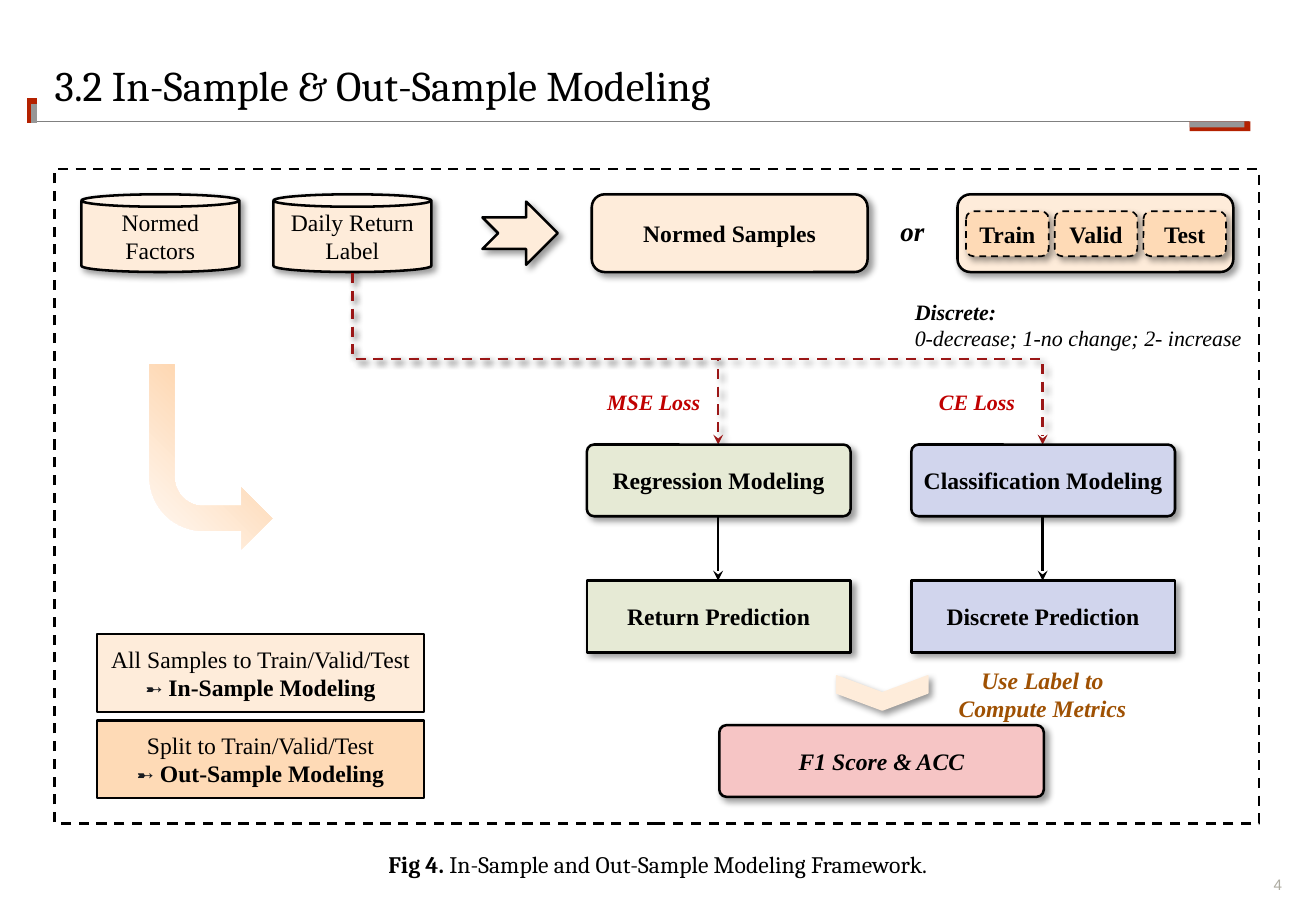
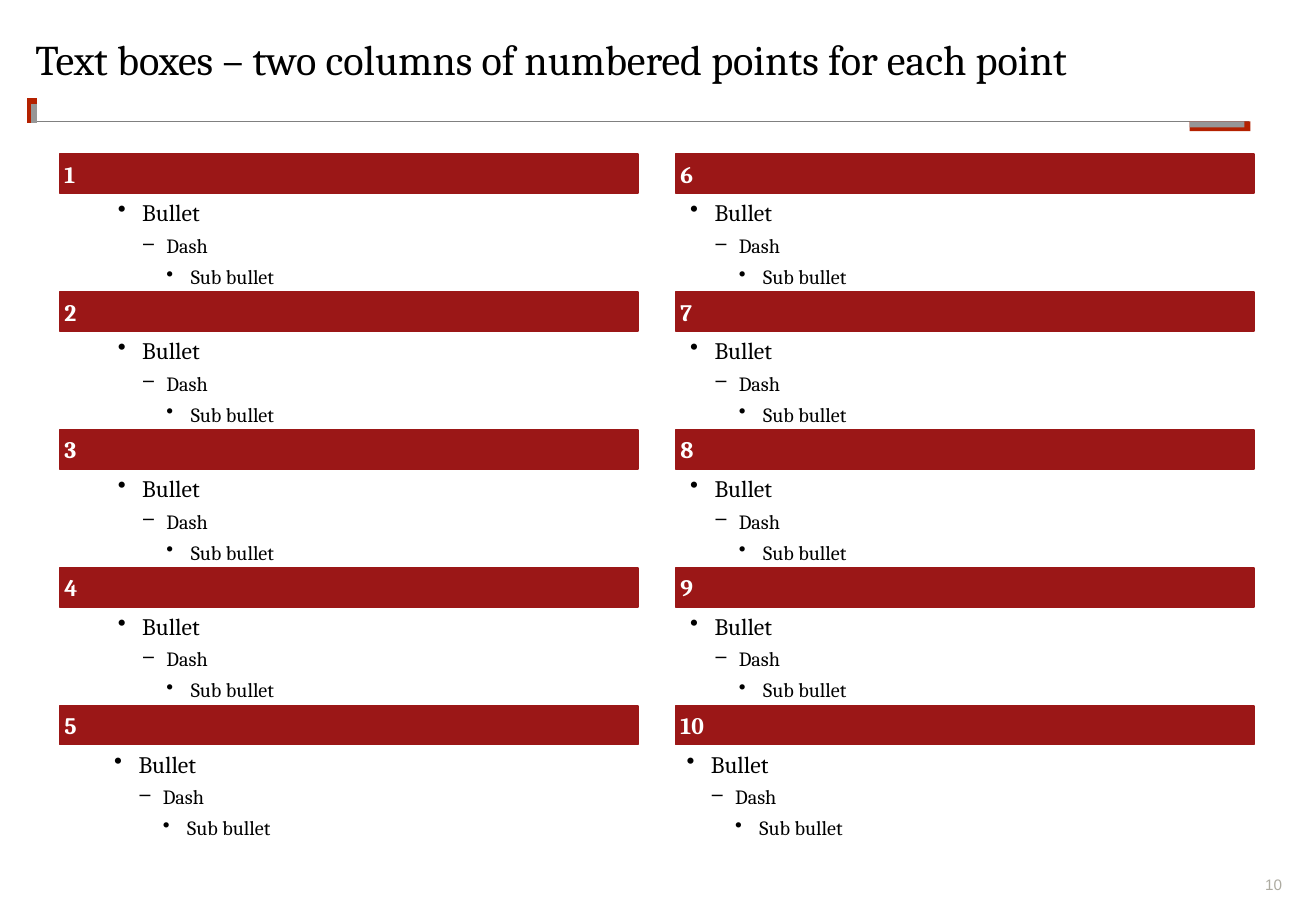
from dataclasses import dataclass, replace

from lxml import etree
from pptx import Presentation
from pptx.dml.color import RGBColor
from pptx.enum.dml import MSO_LINE
from pptx.enum.shapes import MSO_CONNECTOR, MSO_SHAPE
from pptx.enum.text import MSO_ANCHOR, PP_ALIGN
from pptx.oxml.ns import qn
from pptx.shapes.autoshape import Shape
from pptx.shapes.connector import Connector
from pptx.slide import Slide
from pptx.text.text import Font, TextFrame
from pptx.util import Inches, Pt

RECT = MSO_SHAPE.RECTANGLE
ROUND = MSO_SHAPE.ROUNDED_RECTANGLE
CAN = MSO_SHAPE.CAN
NOTCH = MSO_SHAPE.NOTCHED_RIGHT_ARROW
BENT = MSO_SHAPE.BENT_ARROW
CHEVRON = MSO_SHAPE.CHEVRON
ELBOW = MSO_CONNECTOR.ELBOW
STRAIGHT = MSO_CONNECTOR.STRAIGHT
DASH = MSO_LINE.DASH
LEFT, CENTER, RIGHT = PP_ALIGN.LEFT, PP_ALIGN.CENTER, PP_ALIGN.RIGHT
TOP, MIDDLE, BOTTOM = MSO_ANCHOR.TOP, MSO_ANCHOR.MIDDLE, MSO_ANCHOR.BOTTOM


@dataclass(frozen=True)
class Theme:
    black: str = "000000"
    white: str = "FFFFFF"
    red: str = "B42100"
    deep: str = "9B1717"
    loss: str = "C00000"
    rule: str = "808080"
    gray: str = "969696"
    faint: str = "ADABA1"
    ink: str = "191B1F"
    brown: str = "9F5103"
    cream: str = "FEECDA"
    peach: str = "FEDAB6"
    green: str = "E6EAD5"
    blue: str = "D1D5ED"
    pink: str = "F6C5C5"
    fade: tuple = ((0, "FFFAF6"), (74, "FED5AD"), (83, "FED5AD"), (100, "FEE3C8"))
    serif: str = "Cambria"
    roman: str = "Times New Roman"
    sans: str = "Arial"
    title: float = 25
    large: float = 16
    body: float = 14
    note: float = 13
    small: float = 12
    tiny: float = 9


T = Theme()


@dataclass(frozen=True)
class Style:
    size: float = T.body
    face: str = T.roman
    color: str = T.black
    bold: bool = False
    ital: bool = False
    align: PP_ALIGN = CENTER
    anchor: MSO_ANCHOR = MIDDLE
    inset: tuple = (0.08, 0.08)
    space: float = 1


PLAIN = Style()
BOLD = replace(PLAIN, bold=True)
STRONG = replace(BOLD, ital=True)
CANTEXT = replace(PLAIN, inset=(0.1, 0.05))
NOTE = replace(STRONG, size=T.note, anchor=TOP, inset=(0.1, 0.05))
LOSS = replace(NOTE, color=T.loss)
MARK = replace(PLAIN, size=T.small, face=T.sans, color=T.ink)
CAPTION = replace(PLAIN, face=T.serif, anchor=BOTTOM, inset=(0, 0))
TITLE = Style(T.title, T.serif, align=LEFT, inset=(0, 0))
PAGE = Style(T.tiny, T.sans, T.faint, align=RIGHT, anchor=BOTTOM, inset=(0, 0))
BAR = Style(T.body, T.serif, T.white, True, align=LEFT, inset=(0.04, 0.04))
POINT = replace(BAR, color=T.black, bold=False, anchor=TOP)


@dataclass(frozen=True)
class Box:
    at: tuple
    fill: str | None = None
    lines: tuple = ()
    style: Style = BOLD
    kind: MSO_SHAPE = ROUND
    adj: tuple = ()
    line: str | None = T.black
    width: float = 1.5
    dash: bool = False
    shade: bool = True
    turn: float = 0


def dress(font: Font, style: Style) -> None:
    font.size = Pt(style.size)
    font.name = style.face
    font.bold = style.bold
    font.italic = style.ital
    font.color.rgb = RGBColor.from_string(style.color)


def write(frame: TextFrame, lines: tuple, style: Style) -> None:
    frame.word_wrap = True
    frame.vertical_anchor = style.anchor
    frame.margin_left = frame.margin_right = Inches(style.inset[0])
    frame.margin_top = frame.margin_bottom = Inches(style.inset[1])
    for i, line in enumerate(lines):
        para = frame.add_paragraph() if i else frame.paragraphs[0]
        para.alignment = style.align
        para.line_spacing = style.space
        if isinstance(line, str):
            para.add_run().text = line
            dress(para.font, style)
            continue
        for text, look in line:
            run = para.add_run()
            run.text = text
            dress(run.font, look)


def label(slide: Slide, at: tuple, lines: tuple, style: Style) -> TextFrame:
    frame = slide.shapes.add_textbox(*map(Inches, at)).text_frame
    write(frame, lines, style)
    return frame


def tint(node: etree._Element, color: str) -> etree._Element:
    return etree.SubElement(node, qn("a:srgbClr"), val=color)


def cast(effects: etree._Element) -> None:
    shadow = etree.SubElement(effects, qn("a:outerShdw"), blurRad=str(Pt(4)),
                              dist=str(Pt(3)), dir="2700000", algn="tl", rotWithShape="0")
    etree.SubElement(tint(shadow, T.black), qn("a:alpha"), val="40000")


def draw(slide: Slide, box: Box) -> Shape:
    shape = slide.shapes.add_shape(box.kind, *map(Inches, box.at))
    shape.rotation = box.turn
    for i, value in enumerate(box.adj):
        shape.adjustments[i] = value
    if box.fill:
        shape.fill.solid()
        shape.fill.fore_color.rgb = RGBColor.from_string(box.fill)
    else:
        shape.fill.background()
    if box.line:
        shape.line.color.rgb = RGBColor.from_string(box.line)
        shape.line.width = Pt(box.width)
        if box.dash:
            shape.line.dash_style = DASH
    else:
        shape.line.fill.background()
    shape.shadow.inherit = False
    if box.shade:
        cast(shape._element.spPr.find(qn("a:effectLst")))
    if box.lines:
        write(shape.text_frame, box.lines, box.style)
    return shape


def link(slide: Slide, start: tuple, end: tuple, color: str, width: float,
         kind: MSO_CONNECTOR = STRAIGHT, head: bool = False) -> Connector:
    wire = slide.shapes.add_connector(kind, *map(Inches, start + end))
    wire.line.color.rgb = RGBColor.from_string(color)
    wire.line.width = Pt(width)
    if kind == ELBOW:
        wire.line.dash_style = DASH
    if head:
        etree.SubElement(wire.line._get_or_add_ln(), qn("a:tailEnd"), type="stealth")
    effects = etree.SubElement(wire._element.spPr, qn("a:effectLst"))
    if kind == ELBOW:
        cast(effects)
    return wire


def drop(slide: Slide, start: tuple, end: tuple) -> None:
    midx, midy = (start[0] + end[0]) / 2, (start[1] + end[1]) / 2
    halfw, halfh = (end[1] - start[1]) / 2, (end[0] - start[0]) / 2
    wire = link(slide, (midx + halfw, midy - halfh), (midx - halfw, midy + halfh),
                T.deep, 1.5, ELBOW, True)
    wire._element.spPr.find(qn("a:xfrm")).set("rot", "16200000")


def sweep(slide: Slide) -> None:
    shape = draw(slide, Box((1.23, 3, 1.01, 1.52), kind=BENT, line=None, shade=False,
                            turn=180, adj=(0.203, 0.25, 0.25, 0.438)))
    props = shape._element.spPr
    props.find(qn("a:xfrm")).set("flipH", "1")
    fade = etree.Element(qn("a:gradFill"), rotWithShape="1")
    stops = etree.SubElement(fade, qn("a:gsLst"))
    for place, color in T.fade:
        tint(etree.SubElement(stops, qn("a:gs"), pos=str(place * 1000)), color)
    etree.SubElement(fade, qn("a:lin"), ang="2700000", scaled="0")
    props.replace(props.find(qn("a:noFill")), fade)


def base(deck: Presentation, title: str, at: tuple, style: Style, page: int) -> Slide:
    slide = deck.slides.add_slide(deck.slide_layouts[6])
    label(slide, (10.05, 7.21, 0.5, 0.15), (str(page),), PAGE)
    link(slide, (0.3, 1), (10.28, 1), T.rule, 1)
    link(slide, (0.26, 1.01), (0.26, 0.81), T.red, 6)
    link(slide, (0.28, 1.01), (0.28, 0.86), T.gray, 3)
    for wide, high, color in ((0.5, 0.08, T.red), (0.45, 0.05, T.gray)):
        draw(slide, Box((9.79, 1, wide, high), color, kind=RECT, line=None, shade=False))
    label(slide, at, (title,), style)
    return slide


def model(deck: Presentation) -> None:
    slide = base(deck, "3.2 In-Sample & Out-Sample Modeling", (0.45, 0.4, 7.91, 0.59), TITLE, 4)
    draw(slide, Box((4.87, 1.6, 2.27, 0.64), T.cream, ("Normed Samples",)))
    for left, lines in ((0.67, ("Normed", "Factors")), (2.25, ("Daily Return", "Label"))):
        draw(slide, Box((left, 1.6, 1.3, 0.64), T.cream, lines, CANTEXT, CAN, (0.16,)))
    draw(slide, Box((3.97, 1.66, 0.62, 0.52), T.cream, kind=NOTCH))
    label(slide, (7.41, 1.8, 0.3, 0.24), ("or",),
          replace(STRONG, size=T.large, align=LEFT, anchor=TOP, inset=(0, 0), space=0.9))
    draw(slide, Box((7.88, 1.6, 2.27, 0.64), T.cream))
    for i, name in enumerate(("Train", "Valid", "Test")):
        draw(slide, Box((7.95 + 0.73 * i, 1.74, 0.68, 0.37), T.peach, (name,), width=1, dash=True))

    sweep(slide)
    info = replace(NOTE, align=LEFT)
    label(slide, (7.43, 2.41, 2.94, 0.54),
          ("Discrete:", (("0-decrease; 1-no change; 2- increase", replace(info, bold=False)),)),
          info)
    paths = (
        (4.83, 4.83, T.green, "MSE Loss", "Regression Modeling", "Return Prediction"),
        (7.5, 7.49, T.blue, "CE Loss", "Classification Modeling", "Discrete Prediction"),
    )
    for left, side, color, loss, task, result in paths:
        mid = left + 1.08
        drop(slide, (2.9, 2.25), (mid, 3.66))
        label(slide, (side, 3.15, 1.1, 0.32), (loss,), LOSS)
        for top, name, adj in ((3.66, task, 0.1), (4.78, result, 0)):
            draw(slide, Box((left, top, 2.17, 0.59), color, (name,), adj=(adj,)))
        link(slide, (mid, 4.25), (mid, 4.78), T.black, 1.5, head=True)

    draw(slide, Box((7.12, 5.33, 0.28, 0.75), T.cream, kind=CHEVRON, line=T.cream, width=1, turn=90))
    draw(slide, Box((5.92, 5.97, 2.67, 0.59), T.pink, ("F1 Score & ACC",), STRONG, adj=(0.1,)))
    draw(slide, Box((0.45, 1.39, 9.91, 5.39), kind=RECT, dash=True, shade=False))
    keys = (
        (5.22, T.cream, "All Samples to Train/Valid/Test", "In-Sample Modeling"),
        (5.93, T.peach, "Split to Train/Valid/Test", "Out-Sample Modeling"),
    )
    for top, color, data, name in keys:
        lines = (data, (("➸", MARK), (" ", PLAIN), (name, BOLD)))
        draw(slide, Box((0.8, top, 2.69, 0.64), color, lines, PLAIN, adj=(0,), shade=False))
    label(slide, (1.79, 6.99, 7.25, 0.24),
          ((("Fig 4. ", replace(CAPTION, bold=True)),
            ("In-Sample and Out-Sample Modeling Framework.", CAPTION)),), CAPTION)
    label(slide, (7.78, 5.48, 1.6, 0.47), ("Use Label to", "Compute Metrics"),
          replace(STRONG, color=T.brown, anchor=TOP, inset=(0, 0)))


def points(slide: Slide, left: float, top: float) -> None:
    small = replace(POINT, size=T.small)
    lines = ("Bullet", (("Dash", small),), (("Sub bullet", small),))
    frame = label(slide, (left, top, 3.95, 0.83), lines, POINT)
    for level, (para, mark) in enumerate(zip(frame.paragraphs, "•‒•"), 1):
        para.level = level
        para.space_before = Pt(4)
        dress(para.font, POINT if level == 1 else small)
        props = para._p.get_or_add_pPr()
        props.set("marL", str(Inches(0.2 * level)))
        props.set("indent", str(Inches(-0.2)))
        bullet = etree.Element(qn("a:buChar"), char=mark)
        props.find(qn("a:defRPr")).addprevious(bullet)


def columns(deck: Presentation) -> None:
    slide = base(deck, "Text boxes – two columns of numbered points for each point",
                 (0.29, 0.32, 10.25, 0.67), replace(TITLE, anchor=TOP, space=0.9), 10)
    rows = 5
    for col, (left, inner) in enumerate(((0.49, 0.93), (5.56, 5.64))):
        for row in range(rows):
            top = 1.27 + 4.54 / (rows - 1) * row
            draw(slide, Box((left, top, 4.76, 0.32), T.deep, (str(col * rows + row + 1),),
                            BAR, RECT, line=T.deep, width=1, shade=False))
            shift = 0.03 if row == rows - 1 else 0
            points(slide, inner - shift, top + 0.32)


def main() -> None:
    deck = Presentation()
    deck.slide_width, deck.slide_height = Inches(10.83), Inches(7.5)
    model(deck)
    columns(deck)
    deck.save("out.pptx")


if __name__ == "__main__":
    main()
